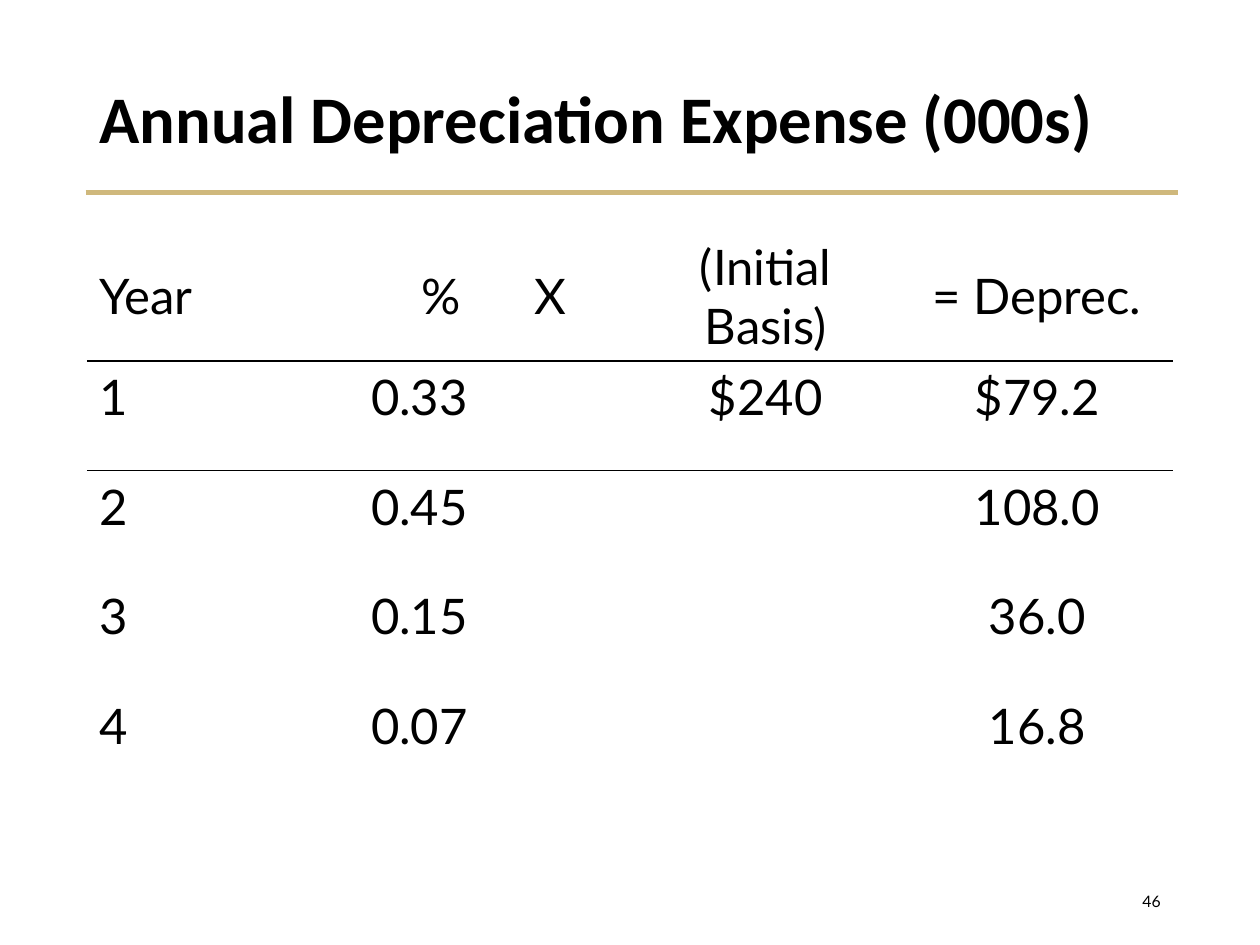
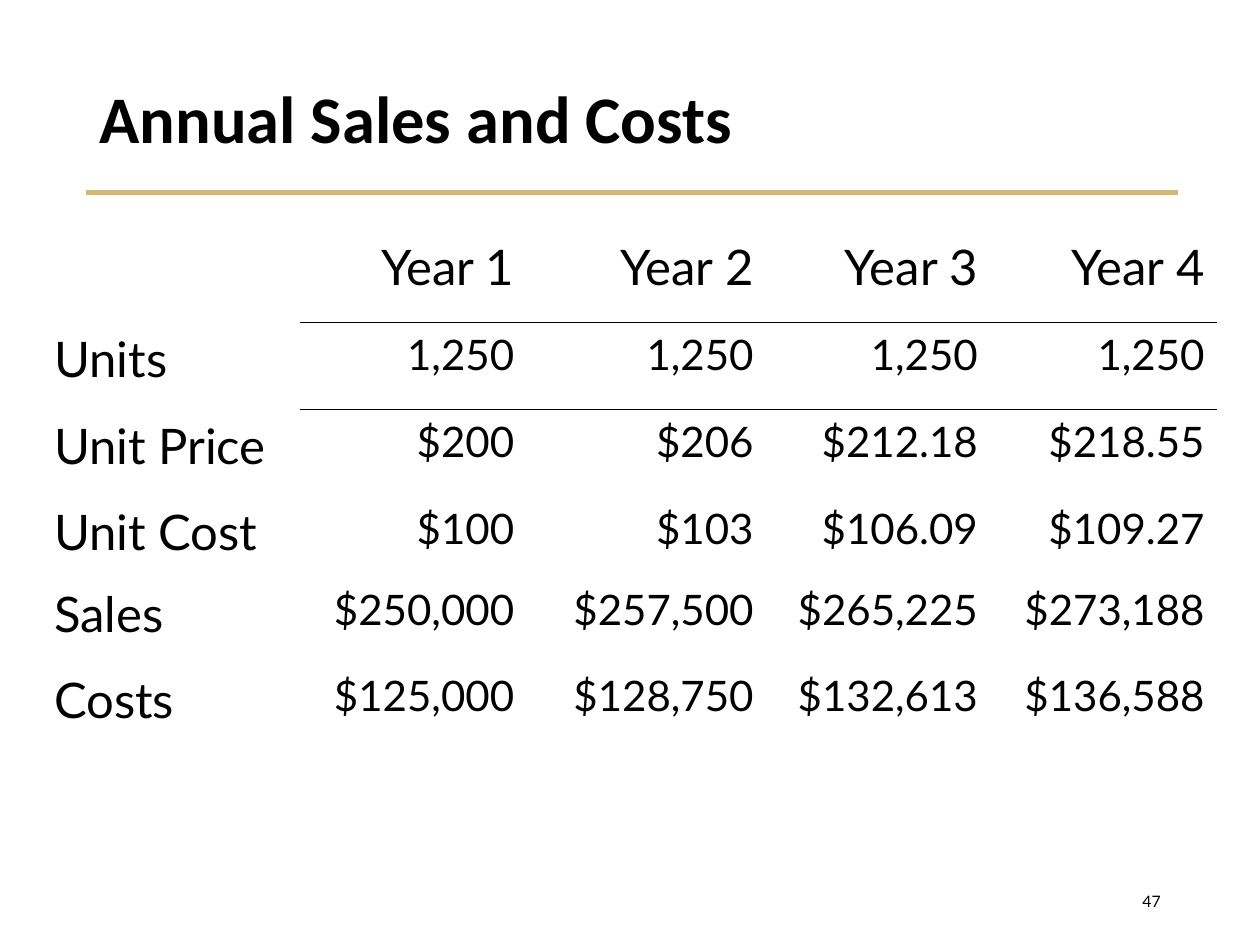
from dataclasses import dataclass

from pptx import Presentation
from pptx.dml.color import RGBColor
from pptx.enum.shapes import MSO_CONNECTOR
from pptx.enum.text import MSO_ANCHOR as ANCHOR, PP_ALIGN as ALIGN
from pptx.oxml import parse_xml
from pptx.oxml.ns import nsdecls, qn
from pptx.util import Inches, Pt


@dataclass(frozen=True)
class Theme:
    ink: RGBColor = RGBColor(0x00, 0x00, 0x00)
    gold: RGBColor = RGBColor(0xCF, 0xB8, 0x7C)
    title_font: str = "Calibri"
    body_font: str = "Lato"
    title_size: int = 38
    label_size: int = 28
    figure_size: int = 24
    number_size: int = 9


THEME = Theme()
NO_STYLE = "{2D5ABB26-0587-4C30-8999-92F81FD0307C}"
LEFT, CENTER, RIGHT = ALIGN.LEFT, ALIGN.CENTER, ALIGN.RIGHT

# Content: each slide is a title and one table
slides = [
    dict(
        title="Annual Depreciation Expense (000s)",
        page="46",
        left=0.69,
        widths=[8.62 / 4] * 4,
        heights=[1.03] + [0.87] * 4,
        aligns=[LEFT, LEFT, CENTER, CENTER],
        header_anchor=ANCHOR.MIDDLE,
        figure_size=THEME.label_size,
        rows=[
            ["Year", "\t%\tX", "(Initial Basis)", "= Deprec."],
            ["1", "0.33", "$240", "$79.2"],
            ["2", "0.45", "", "108.0"],
            ["3", "0.15", "", "36.0"],
            ["4", "0.07", "", "16.8"],
        ],
        ruled_from=0,
    ),
    dict(
        title="Annual Sales and Costs",
        page="47",
        left=0.33,
        widths=[2.05, 1.8, 1.9, 1.78, 1.8],
        heights=[0.73, 0.69, 0.69, 0.65, 0.68, 0.68],
        aligns=[LEFT] + [RIGHT] * 4,
        header_anchor=ANCHOR.TOP,
        figure_size=THEME.figure_size,
        rows=[
            ["", "Year 1", "Year 2", "Year 3", "Year 4"],
            ["Units", "1,250", "1,250", "1,250", "1,250"],
            ["Unit Price", "$200", "$206", "$212.18", "$218.55"],
            ["Unit Cost", "$100", "$103", "$106.09", "$109.27"],
            ["Sales", "$250,000", "$257,500", "$265,225", "$273,188"],
            ["Costs", "$125,000", "$128,750", "$132,613", "$136,588"],
        ],
        ruled_from=1,
    ),
]


def write(paragraph, text, size, font=THEME.body_font, bold=False, align=LEFT):
    paragraph.alignment = align
    run = paragraph.add_run()
    run.text = text
    run.font.name = font
    run.font.size = Pt(size)
    run.font.bold = bold
    run.font.color.rgb = THEME.ink


def rule_cell(cell, side):
    border = parse_xml(
        f'<a:{side} {nsdecls("a")} w="12700"><a:solidFill>'
        f'<a:srgbClr val="{THEME.ink}"/></a:solidFill></a:{side}>'
    )
    cell._tc.get_or_add_tcPr().insert(0, border)


prs = Presentation()
prs.slide_width, prs.slide_height = Inches(10), Inches(7.5)
title_only = prs.slide_layouts[5]

for content in slides:
    slide = prs.slides.add_slide(title_only)

    # Gold rule under the title
    gold_rule = slide.shapes.add_connector(
        MSO_CONNECTOR.STRAIGHT, Inches(0.68), Inches(1.53), Inches(9.35), Inches(1.53)
    )
    gold_rule.line.color.rgb = THEME.gold
    gold_rule.line.width = Pt(3)
    gold_rule._element.spPr.append(parse_xml(f'<a:effectLst {nsdecls("a")}/>'))

    # Title
    title = slide.shapes.title
    title.left, title.top = Inches(0.69), Inches(0.4)
    title.width, title.height = Inches(8.62), Inches(1.13)
    title.text_frame.vertical_anchor = ANCHOR.MIDDLE
    heading = title.text_frame.paragraphs[0]
    heading.line_spacing = 0.9
    write(heading, content["title"], THEME.title_size, THEME.title_font, bold=True)

    # Table
    rows, widths, heights = content["rows"], content["widths"], content["heights"]
    table = slide.shapes.add_table(
        len(rows), len(widths), Inches(content["left"]), Inches(1.83),
        Inches(sum(widths)), Inches(sum(heights)),
    ).table
    table._tbl.tblPr.find(qn("a:tableStyleId")).text = NO_STYLE
    table.first_row = table.horz_banding = False
    for column, width in zip(table.columns, widths):
        column.width = Inches(width)
    for row, height in zip(table.rows, heights):
        row.height = Inches(height)

    for r, values in enumerate(rows):
        for c, value in enumerate(values):
            cell = table.cell(r, c)
            cell.fill.background()
            cell.vertical_anchor = content["header_anchor"] if r == 0 else ANCHOR.TOP
            if r < 2 and c >= content["ruled_from"]:
                rule_cell(cell, "lnB" if r == 0 else "lnT")
            if not value:
                continue
            entry = cell.text_frame.paragraphs[0]
            if "\t" in value:
                stops = "".join(
                    f'<a:tab pos="{Inches(stop)}" algn="l"/>' for stop in (0.4, 1.3)
                )
                entry._p.get_or_add_pPr().append(
                    parse_xml(f'<a:tabLst {nsdecls("a")}>{stops}</a:tabLst>')
                )
            is_label = r == 0 or c == 0
            size = THEME.label_size if is_label else content["figure_size"]
            write(entry, value, size, align=content["aligns"][c])

    # Page number
    page_box = slide.shapes.add_textbox(Inches(7.06), Inches(6.95), Inches(2.25), Inches(0.4))
    page_box.text_frame.word_wrap = True
    page_box.text_frame.vertical_anchor = ANCHOR.MIDDLE
    write(page_box.text_frame.paragraphs[0], content["page"], THEME.number_size, align=RIGHT)

prs.save("out.pptx")
